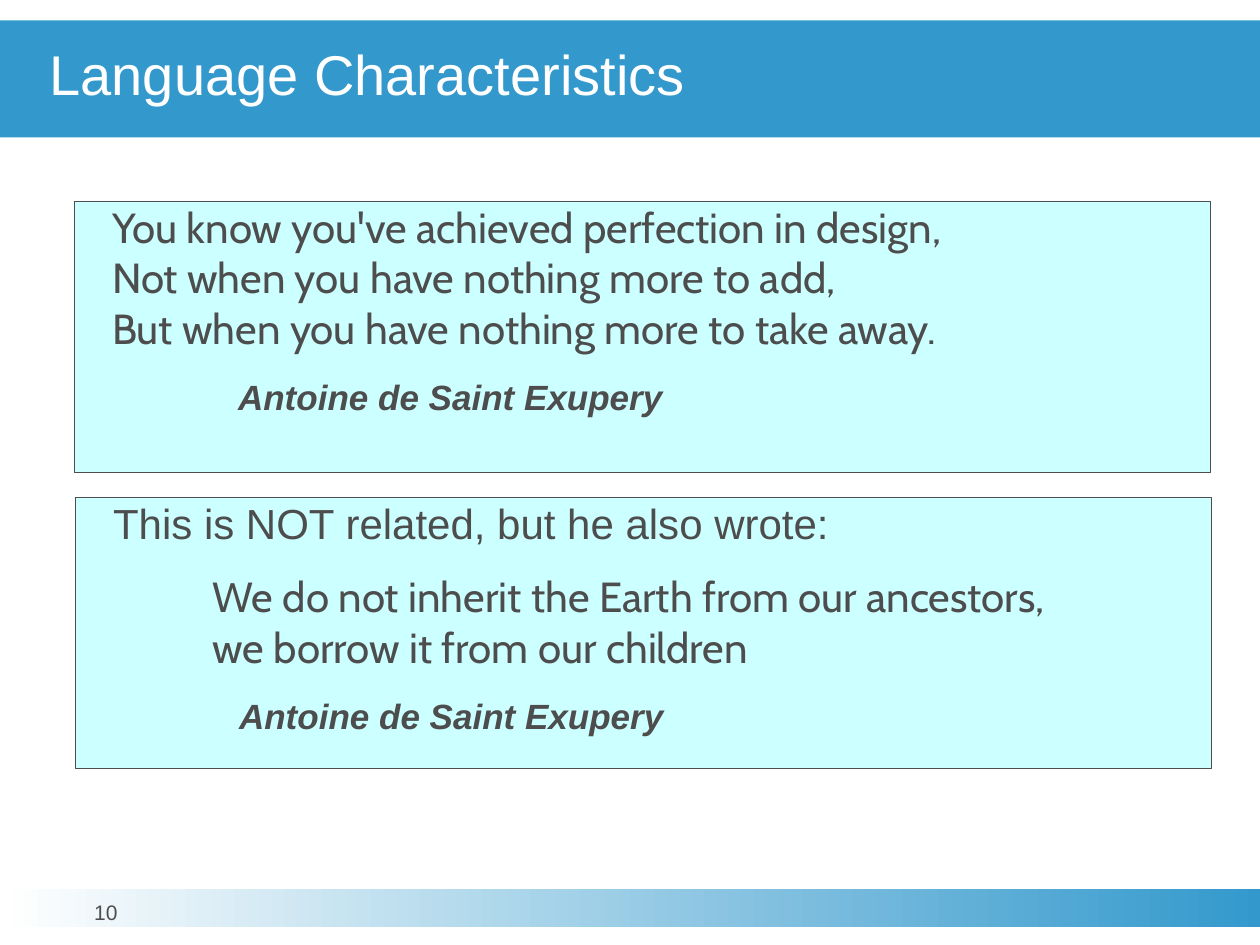
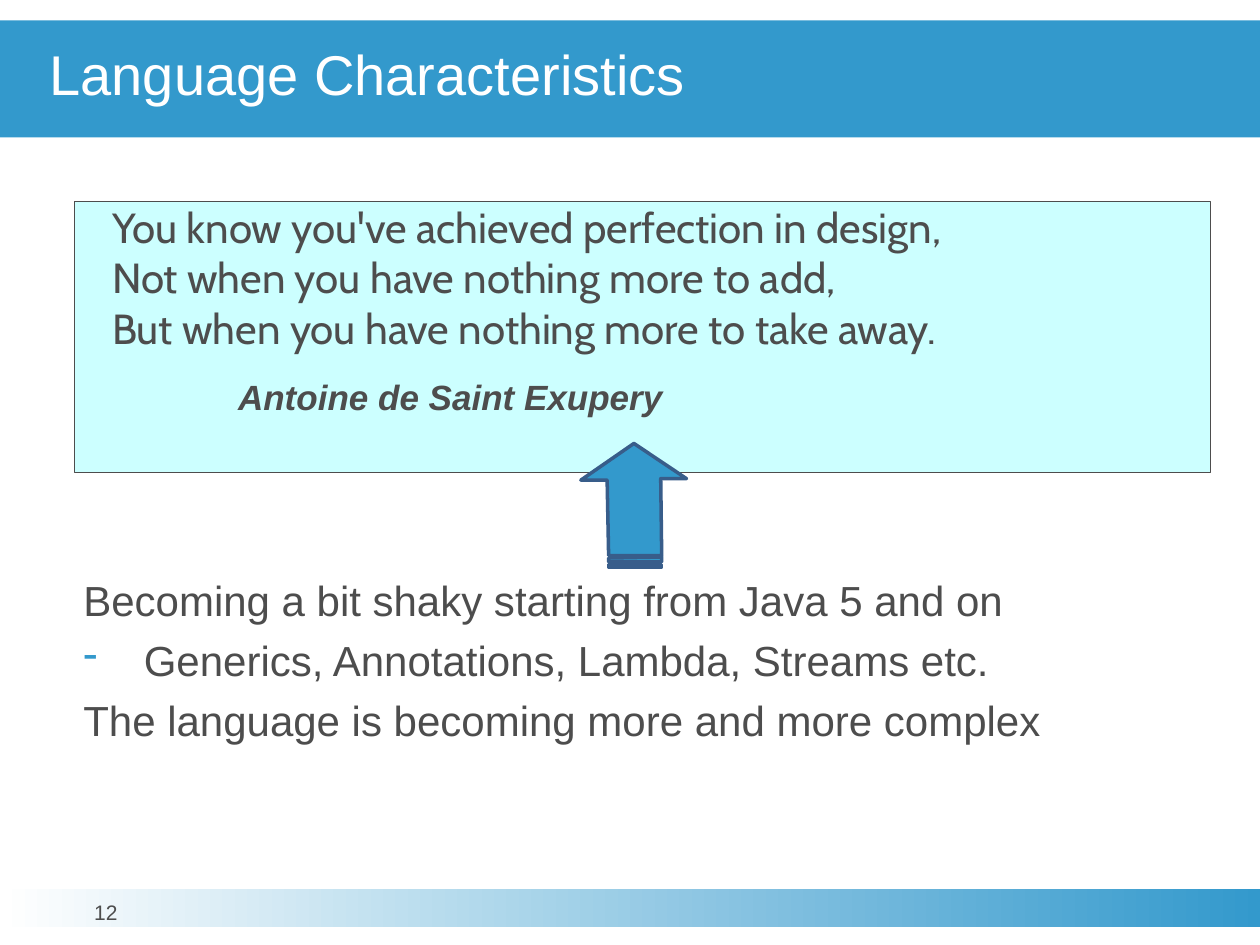
from dataclasses import dataclass

from lxml import etree
from pptx import Presentation
from pptx.dml.color import RGBColor
from pptx.enum.shapes import MSO_SHAPE
from pptx.enum.text import MSO_ANCHOR, PP_ALIGN
from pptx.oxml.ns import qn
from pptx.util import Cm, Pt

RECT = MSO_SHAPE.RECTANGLE
TOP, MIDDLE = MSO_ANCHOR.TOP, MSO_ANCHOR.MIDDLE
LEFT, CENTER = PP_ALIGN.LEFT, PP_ALIGN.CENTER


@dataclass(frozen=True)
class Theme:
    blue: str = "3399CC"
    navy: str = "385D8A"
    cyan: str = "CCFFFF"
    gray: str = "4D4D4D"
    white: str = "FFFFFF"
    sans: str = "Arial"
    quote: str = "Cabin"
    title_size: int = 32
    body_size: int = 24
    author_size: int = 20
    number_size: int = 12


T = Theme()
WIDTH, HEIGHT = 25.4, 19.05
QUOTE_INDENT, AUTHOR_INDENT, INNER_INDENT = 0.76, 3.3, 2.77
QUOTE_GAP, LIST_GAP = 13, 5.5
AUTHOR = "Antoine de Saint Exupery"
DESIGN_QUOTE = (
    "You know you've achieved perfection in design,\n"
    "Not when you have nothing more to add,\n"
    "But when you have nothing more to take away."
)
EARTH_QUOTE = (
    "We do not inherit the Earth from our ancestors,\n"
    "we borrow it from our children"
)
ARROW_PARTS = (
    ((1334, 1143), (1334, 1138), (1227, 1138), (1227, 1143)),
    ((1334, 1133), (1334, 1123), (1227, 1125), (1227, 1133)),
    ((1334, 1120), (1332, 965), (1384, 965), (1278, 894),
     (1171, 968), (1224, 968), (1227, 1120)),
)


def rgb(color):
    return RGBColor.from_string(color)


def setup_frame(sp, anchor=TOP):
    tf = sp.text_frame
    tf.word_wrap = True
    tf.vertical_anchor = anchor
    tf.margin_left = tf.margin_right = tf.margin_top = tf.margin_bottom = 0
    return tf


def add_text(tf, text, size=T.body_size, font=T.sans, color=T.gray, bold=False,
             italic=False, align=LEFT, indent=0, hanging=0, before=0,
             spacing=None, bullet=None):
    first = not tf.text
    p = tf.paragraphs[0] if first else tf.add_paragraph()
    p.text = text
    p.alignment = align
    if not first:
        p.space_before = Pt(before)
    if spacing:
        p.line_spacing = spacing
    pPr = p._p.get_or_add_pPr()
    pPr.set("marL", str(Cm(indent)))
    pPr.set("indent", str(-Cm(hanging)))
    if bullet:
        clr = etree.SubElement(pPr, qn("a:buClr"))
        etree.SubElement(clr, qn("a:srgbClr"), val=T.blue)
        etree.SubElement(pPr, qn("a:buChar"), char=bullet)
    for r in p.runs:
        r.font.size = Pt(size)
        r.font.name = font
        r.font.bold = bold
        r.font.italic = italic
        r.font.color.rgb = rgb(color)


def paint(sp, fill, line=None, weight=0.75):
    sp.shadow.inherit = False
    sp.fill.solid()
    sp.fill.fore_color.rgb = rgb(fill)
    if line:
        sp.line.color.rgb = rgb(line)
        sp.line.width = Pt(weight)
    else:
        sp.line.fill.background()


def add_box(s, x, y, w, h, fill, line=None):
    sp = s.shapes.add_shape(RECT, Cm(x), Cm(y), Cm(w), Cm(h))
    paint(sp, fill, line)
    return sp


def add_label(s, x, y, w, h):
    return setup_frame(s.shapes.add_textbox(Cm(x), Cm(y), Cm(w), Cm(h)))


def add_footer(s, number):
    band = add_box(s, 0, 17.93, WIDTH, 0.76, T.white)
    band.fill.gradient()
    band.fill.gradient_angle = 0
    for stop, color, position in zip(band.fill.gradient_stops, (T.white, T.blue), (0, 1)):
        stop.color.rgb = rgb(color)
        stop.position = position
    tf = add_label(s, 0.79, 18.19, 2.69, 0.79)
    add_text(tf, str(number), size=T.number_size, align=CENTER, spacing=Pt(13))


def add_title(s, text):
    tf = setup_frame(add_box(s, 0, 0.41, WIDTH, 2.36, T.blue), MIDDLE)
    add_text(tf, text, size=T.title_size, color=T.white, indent=1, spacing=0.85)


def add_quote_box(s, x, y):
    return setup_frame(add_box(s, x, y, 22.91, 5.46, T.cyan, T.gray))


def add_author(tf):
    add_text(tf, AUTHOR, size=T.author_size, bold=True, italic=True,
             indent=AUTHOR_INDENT, before=QUOTE_GAP)


def add_design_quote(s):
    tf = add_quote_box(s, 1.5, 4.06)
    add_text(tf, DESIGN_QUOTE, font=T.quote, indent=QUOTE_INDENT)
    add_author(tf)


def add_earth_quote(s):
    tf = add_quote_box(s, 1.52, 10.03)
    add_text(tf, "This is NOT related, but he also wrote:", indent=QUOTE_INDENT)
    add_text(tf, EARTH_QUOTE, font=T.quote, indent=INNER_INDENT, before=QUOTE_GAP)
    add_author(tf)


def add_striped_arrow(s):
    builder = s.shapes.build_freeform(*ARROW_PARTS[0][0], scale=Cm(0.01))
    for i, (start, *points) in enumerate(ARROW_PARTS):
        if i:
            builder.move_to(*start)
        builder.add_line_segments(points, close=True)
    paint(builder.convert_to_shape(), T.blue, T.navy, 2)


def add_remarks(s):
    tf = add_label(s, 1.68, 11.58, 22.86, 3.48)
    for text, bullet in (
        ("Becoming a bit shaky starting from Java 5 and on", None),
        ("Generics, Annotations, Lambda, Streams etc.", "-"),
        ("The language is becoming more and more complex", None),
    ):
        add_text(tf, text, indent=1.22, hanging=1.22, before=LIST_GAP, bullet=bullet)


def add_quote_slide(prs, number):
    s = prs.slides.add_slide(prs.slide_layouts[6])
    add_footer(s, number)
    add_title(s, "Language Characteristics")
    add_design_quote(s)
    return s


def main():
    prs = Presentation()
    prs.slide_width, prs.slide_height = Cm(WIDTH), Cm(HEIGHT)

    s = add_quote_slide(prs, 10)
    add_earth_quote(s)

    s = add_quote_slide(prs, 12)
    add_striped_arrow(s)
    add_remarks(s)

    prs.save("out.pptx")


if __name__ == "__main__":
    main()
